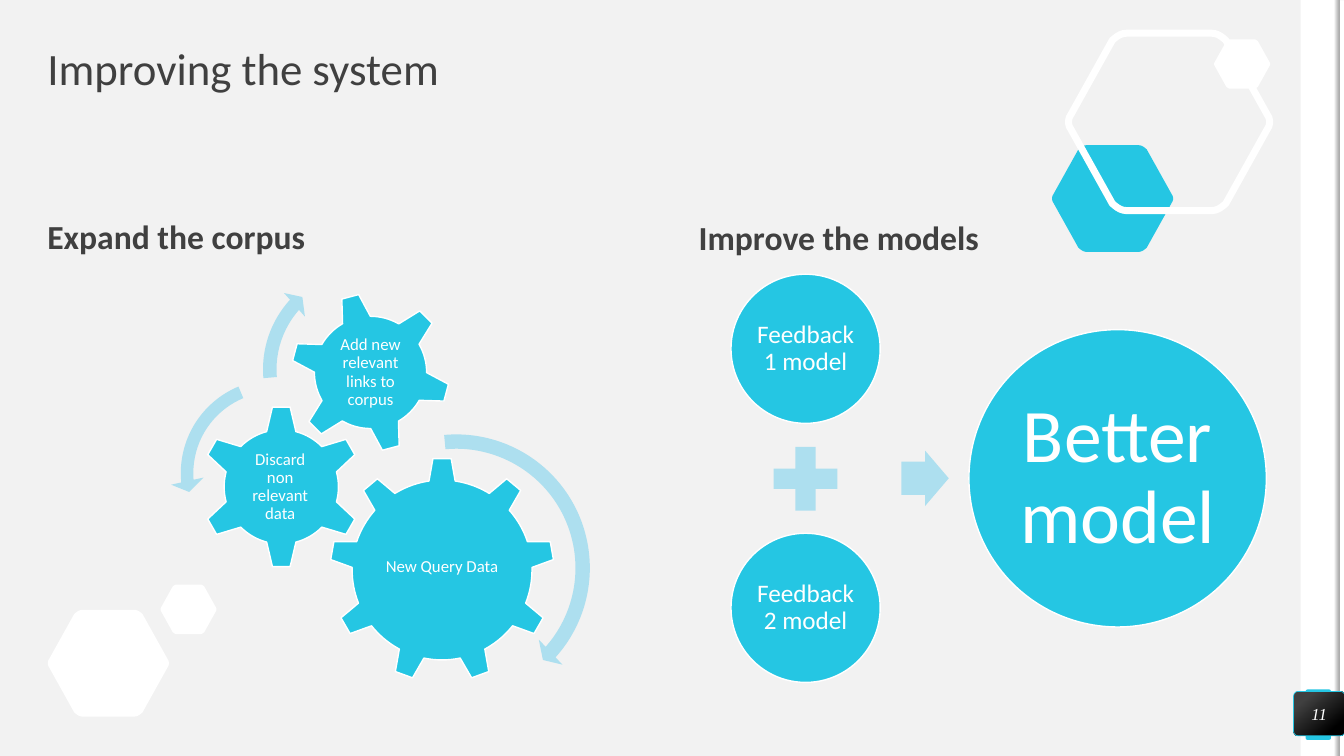
"""Build the slide "Improving the system" with its gear cycle and model equation."""
from pptx import Presentation
from pptx.dml.color import RGBColor
from pptx.enum.shapes import MSO_SHAPE
from pptx.enum.text import MSO_ANCHOR, PP_ALIGN
from pptx.util import Pt

PX = 9144
RECT, ROUND, OVAL = MSO_SHAPE.RECTANGLE, MSO_SHAPE.ROUNDED_RECTANGLE, MSO_SHAPE.OVAL
GEAR6, GEAR9 = MSO_SHAPE.GEAR_6, MSO_SHAPE.GEAR_9
PLUS, ARROW = MSO_SHAPE.MATH_PLUS, MSO_SHAPE.RIGHT_ARROW
TURN, BACK = MSO_SHAPE.CIRCULAR_ARROW, MSO_SHAPE.LEFT_CIRCULAR_ARROW
MIDDLE, BOTTOM = MSO_ANCHOR.MIDDLE, MSO_ANCHOR.BOTTOM
LEFT, CENTER = PP_ALIGN.LEFT, PP_ALIGN.CENTER
CYAN, PALE, WHITE, GREY, INK = "25C6E3", "ADDFEF", "FFFFFF", "F2F2F2", "404040"
shade = RGBColor.from_string


def paint(shape, fill=None, line=None, width=1, stops=(), angle=0):
    shape.shadow.inherit = False
    if stops:
        shape.fill.gradient()
        shape.fill.gradient_angle = angle
        for stop, (place, color) in zip(shape.fill.gradient_stops, stops):
            stop.position = place
            stop.color.rgb = shade(color)
    elif fill:
        shape.fill.solid()
        shape.fill.fore_color.rgb = shade(fill)
    else:
        shape.fill.background()
    if line:
        shape.line.color.rgb = shade(line)
        shape.line.width = Pt(width)
    else:
        shape.line.fill.background()
    return shape


def write(shape, text, size, color=WHITE, inset=0, anchor=MIDDLE, align=CENTER,
          spacing=0.9, **font):
    frame = shape.text_frame
    look = {"word_wrap": True, "vertical_anchor": anchor}
    for side in ("left", "top", "right", "bottom"):
        look[f"margin_{side}"] = inset * PX
    for name, value in look.items():
        setattr(frame, name, value)
    para = frame.paragraphs[0]
    para.alignment = align
    para.line_spacing = spacing
    run = para.add_run()
    run.text = text
    run.font.color.rgb = shade(color)
    for name, value in {"name": "Calibri", "size": Pt(size), **font}.items():
        setattr(run.font, name, value)


deck = Presentation()
deck.slide_width, deck.slide_height = 1333 * PX, 750 * PX
slide = deck.slides.add_slide(deck.slide_layouts[6])
slide.background.fill.solid()
slide.background.fill.fore_color.rgb = shade(GREY)
shapes = slide.shapes

# Side band
paint(shapes.add_shape(RECT, 1290 * PX, 0, 39 * PX, 750 * PX), WHITE)
tab = paint(shapes.add_shape(ROUND, 1295 * PX, 684 * PX, 25 * PX, 50 * PX), CYAN)
tab.adjustments[0] = 0.07
for left, look in (
    (956, {"fill": WHITE}),
    (951, {"stops": ((0, GREY), (1, "A6A6A6")), "angle": 90}),
):
    edge = shapes.add_shape(RECT, left * PX, 373 * PX, 750 * PX, 5 * PX)
    edge.rotation = 90
    paint(edge, **look)

# Rounded hexagons, mirrored from two corner curves
curves = (
    ((0.71, 0), (0.74, 0), (0.76, 0.02), (0.78, 0.04)),
    ((0.985, 0.46), (1, 0.48), (1, 0.52), (0.985, 0.54)),
)
top, tip = [
    [
        tuple(
            (1 - t) ** 3 * a + 3 * t * (1 - t) ** 2 * b + 3 * t * t * (1 - t) * c + t ** 3 * d
            for a, b, c, d in zip(*curve)
        )
        for t in (0, 0.2, 0.4, 0.6, 0.8, 1)
    ]
    for curve in curves
]
half = top + tip + [(x, 1 - y) for x, y in reversed(top)]
ring = half + [(1 - x, y) for x, y in reversed(half)]
for left, up, wide, high, look in (
    (47, 605, 121, 106, {"fill": WHITE}),
    (1043, 144, 121, 106, {"fill": CYAN}),
    (1059, 33, 201, 176, {"line": WHITE, "width": 5}),
    (159, 580, 56, 49, {"fill": WHITE}),
    (1204, 39, 56, 49, {"fill": WHITE}),
):
    dots = [(round((left + x * wide) * PX), round((up + y * high) * PX)) for x, y in ring]
    pen = shapes.build_freeform(*dots[0])
    pen.add_line_segments(dots[1:], close=True)
    paint(pen.convert_to_shape(), **look)

# Title, page number and headings
title = shapes.add_textbox(47 * PX, 47 * PX, 1240 * PX, 47 * PX)
write(title, "Improving the system", 32, INK, align=LEFT)
badge = shapes.add_shape(ROUND, 1283 * PX, 686 * PX, 51 * PX, 44 * PX)
badge.adjustments[0] = 0.1
paint(badge, line=CYAN, width=0.5, stops=((0.2, INK), (0.82, "000000")), angle=310)
write(badge, "11", 12, spacing=1, name="Times New Roman", italic=True)
for left, up, wide, text in (
    (47, 165, 600, "Expand the corpus"),
    (693, 166, 593, "Improve the models"),
):
    head = shapes.add_textbox(left * PX, up * PX, wide * PX, 90 * PX)
    write(head, text, 24, INK, anchor=BOTTOM, align=LEFT, bold=True)

# Model equation
sum_set = shapes.add_group_shape().shapes
for left, up, size, pad, inset, point, text in (
    (725, 272, 148, 22, 3, 18, "Feedback 1 model"),
    (725, 529, 148, 22, 3, 18, "Feedback 2 model"),
    (961, 327, 295, 43, 7, 54, "Better model"),
):
    disc = sum_set.add_shape(OVAL, left * PX, up * PX, size * PX, size * PX)
    paint(disc, CYAN, WHITE)
    side = (size - 2 * pad) * PX
    label = sum_set.add_textbox((left + pad) * PX, (up + pad) * PX, side, side)
    write(label, text, point, inset=inset)
paint(sum_set.add_shape(PLUS, 756 * PX, 432 * PX, 86 * PX, 86 * PX), PALE)
arrow = paint(sum_set.add_shape(ARROW, 894 * PX, 447 * PX, 47 * PX, 55 * PX), PALE)
arrow.adjustments[0] = 0.6

# Gear cycle
gear_set = shapes.add_group_shape().shapes
for kind, left, up, size, turn, area, text in (
    (GEAR9, 327, 454, 223, 0, (372, 506, 133, 114), "New Query Data"),
    (GEAR6, 198, 402, 162, 0, (238, 443, 80, 80), "Discard non relevant data"),
    (GEAR6, 288, 290, 159, 345, (323, 325, 89, 89), "Add new relevant links to corpus"),
):
    gear = gear_set.add_shape(kind, left * PX, up * PX, size * PX, size * PX)
    gear.rotation = turn
    paint(gear, CYAN, WHITE)
    label = gear_set.add_textbox(*[v * PX for v in area])
    write(label, text, 12, inset=2)
for kind, left, up, size, bends in (
    (TURN, 310, 421, 285, (0.05, 2.99, 25.03, 158.89, 0.06)),
    (BACK, 169, 366, 207, (0.06, 4.3, 104.89, 148.38, 0.08)),
    (TURN, 252, 255, 223, (0.06, 3.94, 133.14, 105.08, 0.07)),
):
    sweep = gear_set.add_shape(kind, left * PX, up * PX, size * PX, size * PX)
    paint(sweep, PALE)
    for place, bend in enumerate(bends):
        sweep.adjustments[place] = bend

deck.save("out.pptx")
